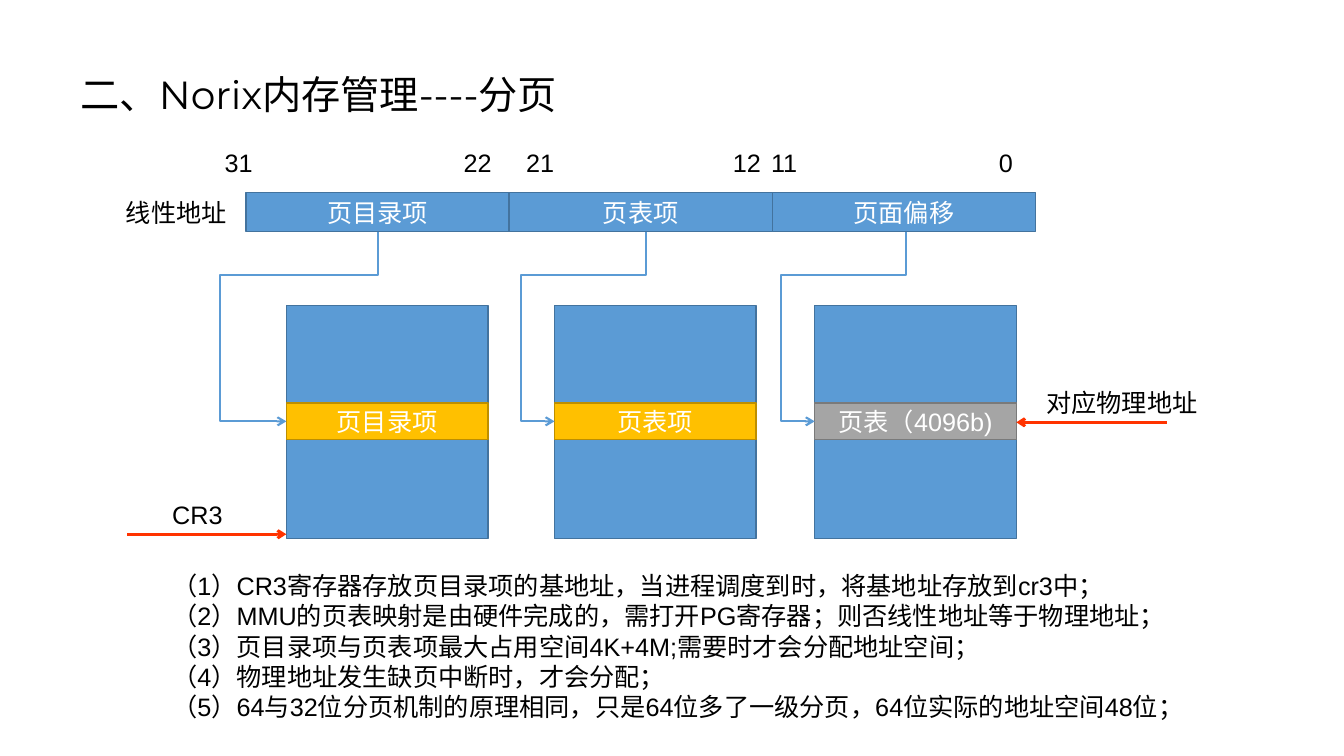
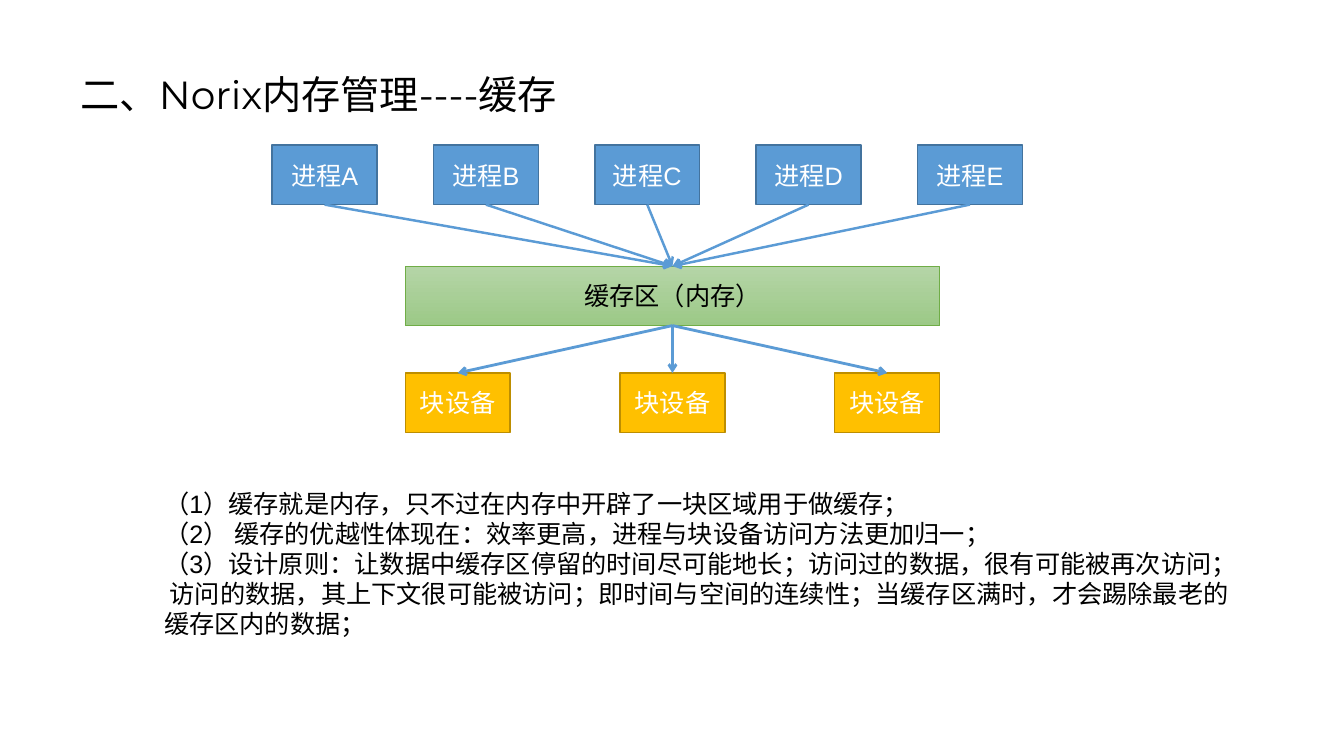
from lxml import etree
from pptx import Presentation
from pptx.dml.color import RGBColor
from pptx.enum.shapes import MSO_CONNECTOR, MSO_SHAPE
from pptx.enum.text import MSO_ANCHOR, MSO_AUTO_SIZE, PP_ALIGN
from pptx.oxml.ns import qn
from pptx.util import Inches, Pt

STRAIGHT, ELBOW = MSO_CONNECTOR.STRAIGHT, MSO_CONNECTOR.ELBOW
RECTANGLE = MSO_SHAPE.RECTANGLE
MIDDLE, BOTTOM = MSO_ANCHOR.MIDDLE, MSO_ANCHOR.BOTTOM
LEFT, CENTER = PP_ALIGN.LEFT, PP_ALIGN.CENTER
NO_AUTOFIT = MSO_AUTO_SIZE.NONE
TITLE_ONLY = 5

COLORS = {
    "black": "000000",
    "white": "FFFFFF",
    "blue": "5B9BD5",
    "blue_edge": "43739E",
    "gold": "FFC000",
    "gold_edge": "BD8E00",
    "gray": "A5A5A5",
    "gray_edge": "7A7A7A",
    "green_top": "B5D5A7",
    "green_bottom": "9CC987",
    "green_edge": "70AD47",
    "red": "FF3300",
}


def color(name):
    """Return the named colour."""
    return RGBColor.from_string(COLORS[name])


class DeckBuilder:
    """Holds the shared style and the slide being filled."""

    body_font = "Arial"
    title_font = "Montserrat"
    body_size = 18
    title_size = 28

    def __init__(self):
        """Start an empty widescreen deck."""
        self.deck = Presentation()
        self.deck.slide_width = Inches(13.33)
        self.deck.slide_height = Inches(7.5)
        self.page = None

    def add_page(self, topic):
        """Add a slide with the chapter title and its topic."""
        self.page = self.deck.slides.add_slide(self.deck.slide_layouts[TITLE_ONLY])
        title = self.page.shapes.title
        title.left, title.top = Inches(0.7), Inches(0.3)
        title.width, title.height = Inches(9.99), Inches(0.91)
        frame = title.text_frame
        frame.text = f"二、Norix内存管理----{topic}"
        frame.auto_size = NO_AUTOFIT
        frame.vertical_anchor = BOTTOM
        para = frame.paragraphs[0]
        para.line_spacing = 1.3
        self.style(para, LEFT, "black", self.title_font, self.title_size)

    def style(self, para, align, ink, font=body_font, size=body_size):
        """Set the alignment and font of a paragraph."""
        para.alignment = align
        para.font.name = font
        para.font.size = Pt(size)
        para.font.color.rgb = color(ink)

    def text(self, left, top, width, height, *lines):
        """Add a text box with one paragraph per line."""
        box = self.page.shapes.add_textbox(
            Inches(left), Inches(top), Inches(width), Inches(height))
        frame = box.text_frame
        frame.word_wrap = True
        frame.text = "\n".join(lines)
        for para in frame.paragraphs:
            self.style(para, LEFT, "black")

    def box(self, left, top, width, height, fill, label="", ink="white"):
        """Add an outlined rectangle with a centred label."""
        box = self.page.shapes.add_shape(
            RECTANGLE, Inches(left), Inches(top), Inches(width), Inches(height))
        box.shadow.inherit = False
        box.line.color.rgb = color(f"{fill}_edge")
        box.line.width = Pt(1)
        if fill == "green":
            self.fade(box)
        else:
            box.fill.solid()
            box.fill.fore_color.rgb = color(fill)
        if label:
            frame = box.text_frame
            frame.vertical_anchor = MIDDLE
            frame.text = label
            self.style(frame.paragraphs[0], CENTER, ink)

    def fade(self, box):
        """Fill a box with the green gradient, top to bottom."""
        box.line.width = Pt(0.5)
        box.fill.gradient()
        box.fill.gradient_angle = 270
        for stop, name in zip(box.fill.gradient_stops, ("green_top", "green_bottom")):
            stop.color.rgb = color(name)

    def arrow(self, start, end, ink="blue", weight=2.0, kind=STRAIGHT):
        """Add a connector with an arrowhead at its end."""
        points = [Inches(value) for value in (*start, *end)]
        line = self.page.shapes.add_connector(kind, *points)
        line.line.color.rgb = color(ink)
        line.line.width = Pt(weight)
        properties = line.line._get_or_add_ln()
        etree.SubElement(properties, qn("a:tailEnd"), type="arrow")
        etree.SubElement(line._element.spPr, qn("a:effectLst"))
        return line

    def bent_arrow(self, start, end, bend_y, lane_x):
        """Add an arrow going down, left along bend_y, down lane_x, then right."""
        line = self.arrow(start, end, weight=1.5, kind=ELBOW)
        across, down = start[0] - end[0], end[1] - start[1]
        center_x, center_y = (start[0] + end[0]) / 2, (start[1] + end[1]) / 2
        line.left, line.top = Inches(center_x - down / 2), Inches(center_y - across / 2)
        line.width, line.height = Inches(down), Inches(across)
        frame = line._element.spPr.find(qn("a:xfrm"))
        frame.attrib.pop("flipH", None)
        frame.set("rot", "5400000")
        geometry = line._element.spPr.find(qn("a:prstGeom"))
        geometry.set("prst", "bentConnector4")
        guides = geometry.find(qn("a:avLst"))
        ratios = ((bend_y - start[1]) / down, (start[0] - lane_x) / across)
        for number, ratio in enumerate(ratios, 1):
            etree.SubElement(guides, qn("a:gd"), name=f"adj{number}",
                             fmla=f"val {round(ratio * 100000)}")


def build_paging(builder):
    """Draw how a linear address is looked up through page tables."""
    builder.add_page("分页")
    field_width = 2.61
    for index, name in enumerate(("页目录项", "页表项", "页面偏移")):
        builder.box(2.44 + index * field_width, 1.91, field_width, 0.39, "blue", name)
    builder.text(1.15, 1.91, 1.29, 0.4, "线性地址")
    bits = {"31": 2.13, "22": 4.5, "21": 5.12, "12": 7.17, "11": 7.55, "0": 9.81}
    for bit, left in bits.items():
        builder.text(left, 1.41, 0.53, 0.4, bit)

    tables = (
        (2.84, 2.18, "gold", "页目录项"),
        (5.5, 5.17, "gold", "页表项"),
        (8.08, 7.75, "gray", "页表（4096b)"),
    )
    for left, lane_x, fill, entry in tables:
        builder.box(left, 3.03, 2, 2.31, "blue")
        builder.box(left, 4, 2, 0.36, fill, entry)
        builder.bent_arrow((left + 0.91, 2.3), (left, 4.18), 2.73, lane_x)

    builder.text(1.61, 4.9, 0.83, 0.4, "CR3")
    builder.arrow((1.26, 5.3), (2.84, 5.3), "red")
    builder.text(10.28, 3.79, 1.76, 0.4, "对应物理地址")
    builder.arrow((11.57, 4.19), (10.08, 4.19), "red")
    builder.text(
        1.61, 5.61, 10.8, 1.61,
        "（1）CR3寄存器存放页目录项的基地址，当进程调度到时，将基地址存放到cr3中；",
        "（2）MMU的页表映射是由硬件完成的，需打开PG寄存器；则否线性地址等于物理地址；",
        "（3）页目录项与页表项最大占用空间4K+4M;需要时才会分配地址空间；",
        "（4）物理地址发生缺页中断时，才会分配；",
        "（5）64与32位分页机制的原理相同，只是64位多了一级分页，64位实际的地址空间48位；",
    )


def build_cache(builder):
    """Draw processes sharing block devices through a memory cache."""
    builder.add_page("缓存")
    width, height = 1.04, 0.59
    process_top, cache_top, device_top = 1.44, 2.64, 3.7
    cache_left, cache_width = 4.02, 5.3
    cache_center = cache_left + cache_width / 2
    builder.box(cache_left, cache_top, cache_width, height, "green",
                "缓存区（内存）", "black")
    for index, letter in enumerate("ABCDE"):
        left = 2.7 + index * 1.6
        builder.box(left, process_top, width, height, "blue", f"进程{letter}")
        builder.arrow((left + width / 2, process_top + height),
                      (cache_center, cache_top), weight=1.75)
    device_step = (cache_width - width) / 2
    for index in range(3):
        left = cache_left + index * device_step
        builder.box(left, device_top, width, height, "gold", "块设备")
        builder.arrow((cache_center, cache_top + height),
                      (left + width / 2, device_top))
    builder.text(
        1.53, 4.79, 10.8, 1.61,
        "（1）缓存就是内存，只不过在内存中开辟了一块区域用于做缓存；",
        "（2） 缓存的优越性体现在：效率更高，进程与块设备访问方法更加归一；",
        "（3）设计原则：让数据中缓存区停留的时间尽可能地长；访问过的数据，很有可能被再次访问； "
        "访问的数据，其上下文很可能被访问；即时间与空间的连续性；"
        "当缓存区满时，才会踢除最老的缓存区内的数据；",
    )


builder = DeckBuilder()
build_paging(builder)
build_cache(builder)
builder.deck.save("out.pptx")
